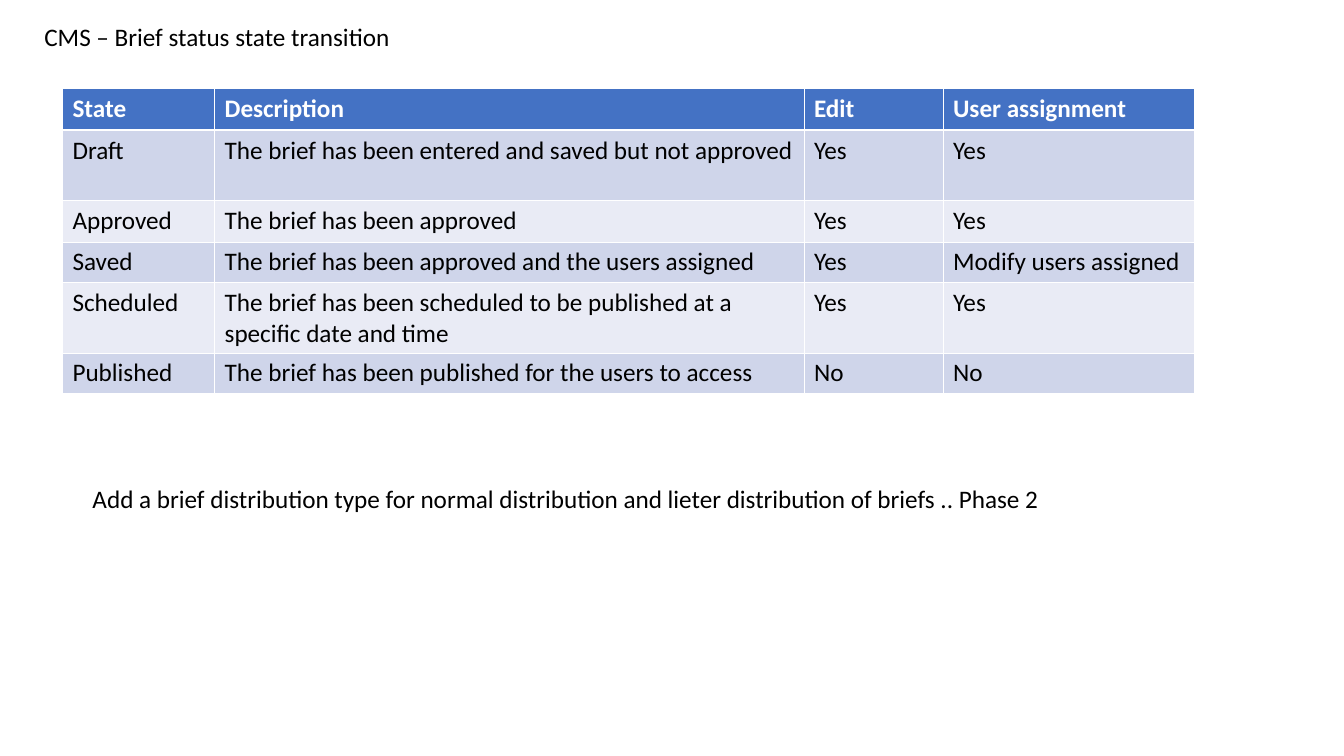
"""Build the slide with the brief status state transition table."""
from dataclasses import dataclass
from typing import Any

from lxml import etree
from pptx import Presentation
from pptx.dml.color import RGBColor
from pptx.enum.text import MSO_ANCHOR, MSO_AUTO_SIZE, PP_ALIGN
from pptx.oxml.ns import qn
from pptx.util import Emu, Pt

EMU_PER_PX = 9144
TITLE_ONLY = 5
LEFT = PP_ALIGN.LEFT
TOP = MSO_ANCHOR.TOP
FIT_SHAPE = MSO_AUTO_SIZE.SHAPE_TO_FIT_TEXT


@dataclass(frozen=True)
class Theme:
    font: str = "Calibri"
    size: int = 18
    ink: str = "000000"
    paper: str = "FFFFFF"
    header: str = "4472C4"
    bands: tuple[str, str] = ("CFD5EA", "E9EBF5")
    thin: float = 0.45
    thick: float = 1.47


@dataclass(frozen=True)
class Place:
    left: int
    top: int
    width: int
    height: int

    def emu(self) -> tuple[Emu, Emu, Emu, Emu]:
        return px(self.left), px(self.top), px(self.width), px(self.height)


@dataclass(frozen=True)
class StateRow:
    height: int
    state: str
    description: str
    edit: str
    assignment: str

    def texts(self) -> tuple[str, str, str, str]:
        return self.state, self.description, self.edit, self.assignment


THEME = Theme()
PAGE_WIDTH, PAGE_HEIGHT = 1334, 750
TITLE_PLACE = Place(34, 16, 386, 40)
NOTE_PLACE = Place(82, 475, 1170, 40)
TABLE_LEFT, TABLE_TOP = 62, 88
COLUMN_WIDTHS = (151, 585, 138, 249)
TITLE = "CMS – Brief status state transition"
NOTE = ("Add a brief distribution type for normal distribution "
        "and lieter distribution of briefs .. Phase 2")
ROWS = (
    StateRow(41, "State", "Description", "Edit", "User assignment"),
    StateRow(70, "Draft", "The brief has been entered and saved but not approved",
             "Yes", "Yes"),
    StateRow(41, "Approved", "The brief has been approved", "Yes", "Yes"),
    StateRow(40, "Saved", "The brief has been approved and the users assigned",
             "Yes", "Modify users assigned"),
    StateRow(70, "Scheduled",
             "The brief has been scheduled to be published at a specific date and time",
             "Yes", "Yes"),
    StateRow(40, "Published", "The brief has been published for the users to access",
             "No", "No"),
)
INSETS = {"margin_left": 10, "margin_right": 10, "margin_top": 5, "margin_bottom": 5}


def px(length: int) -> Emu:
    return Emu(length * EMU_PER_PX)


def apply(target: Any, values: dict[str, Any]) -> None:
    for name, value in values.items():
        setattr(target, name, value)


def write(frame: Any, text: str, color: str, bold: bool = False) -> None:
    frame.text = text
    para = frame.paragraphs[0]
    para.alignment = LEFT
    font = para.runs[0].font
    apply(font, {"name": THEME.font, "size": Pt(THEME.size), "bold": bold})
    font.color.rgb = RGBColor.from_string(color)


def fill_box(box: Any, place: Place, text: str) -> None:
    apply(box, dict(zip(("left", "top", "width", "height"), place.emu())))
    write(box.text_frame, text, THEME.ink)
    insets = {name: px(value) for name, value in INSETS.items()}
    apply(box.text_frame, insets | {
        "word_wrap": True, "auto_size": FIT_SHAPE, "vertical_anchor": TOP})


def add_borders(cell: Any, row_index: int) -> None:
    weights = {
        "a:lnL": THEME.thin,
        "a:lnR": THEME.thin,
        "a:lnT": THEME.thick if row_index == 1 else THEME.thin,
        "a:lnB": THEME.thick if row_index == 0 else THEME.thin,
    }
    properties = cell._tc.get_or_add_tcPr()
    for tag, weight in weights.items():
        line = etree.SubElement(properties, qn(tag), w=str(Pt(weight)))
        solid = etree.SubElement(line, qn("a:solidFill"))
        etree.SubElement(solid, qn("a:srgbClr"), val=THEME.paper)


def style_cell(cell: Any, row_index: int, text: str) -> None:
    is_header = row_index == 0
    write(cell.text_frame, text, THEME.paper if is_header else THEME.ink, is_header)
    insets = {name: px(value) for name, value in INSETS.items()}
    apply(cell, insets | {"vertical_anchor": TOP})
    add_borders(cell, row_index)
    cell.fill.solid()
    color = THEME.header if is_header else THEME.bands[(row_index - 1) % 2]
    cell.fill.fore_color.rgb = RGBColor.from_string(color)


def add_state_table(page: Any) -> None:
    place = Place(TABLE_LEFT, TABLE_TOP, sum(COLUMN_WIDTHS),
                  sum(row.height for row in ROWS))
    table = page.shapes.add_table(len(ROWS), len(COLUMN_WIDTHS), *place.emu()).table
    for column, width in zip(table.columns, COLUMN_WIDTHS):
        column.width = px(width)
    for row_index, row in enumerate(ROWS):
        table.rows[row_index].height = px(row.height)
        for column_index, text in enumerate(row.texts()):
            style_cell(table.cell(row_index, column_index), row_index, text)


def main() -> None:
    deck = Presentation()
    apply(deck, {"slide_width": px(PAGE_WIDTH), "slide_height": px(PAGE_HEIGHT)})
    page = deck.slides.add_slide(deck.slide_layouts[TITLE_ONLY])
    fill_box(page.shapes.title, TITLE_PLACE, TITLE)
    add_state_table(page)
    fill_box(page.shapes.add_textbox(*NOTE_PLACE.emu()), NOTE_PLACE, NOTE)
    deck.save("out.pptx")


if __name__ == "__main__":
    main()
